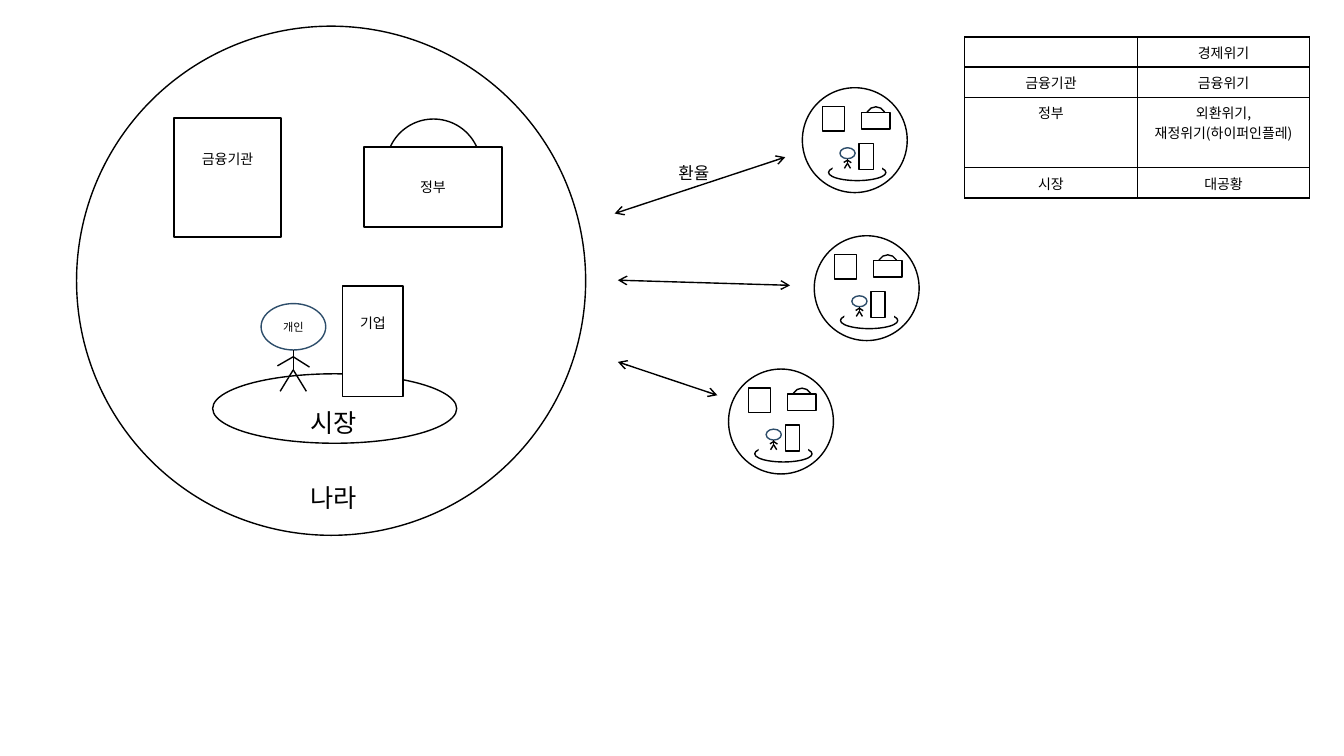
import pptx
import pptx.util
import pptx.dml.color
import pptx.enum.shapes
import pptx.enum.text
import pptx.oxml
import pptx.oxml.ns
from lxml import etree

Cm = pptx.util.Cm
Pt = pptx.util.Pt
qn = pptx.oxml.ns.qn
tint = pptx.dml.color.RGBColor.from_string
OVAL = pptx.enum.shapes.MSO_SHAPE.OVAL
RECT = pptx.enum.shapes.MSO_SHAPE.RECTANGLE
FONT = "Noto Sans CJK KR"
BLACK, WHITE, NAVY = "000000", "FFFFFF", "2D4D6A"

deck = pptx.Presentation()
deck.slide_width, deck.slide_height = Cm(33.87), Cm(19.05)
slide = deck.slides.add_slide(deck.slide_layouts[6])
shapes = slide.shapes


def write(frame, text, size):
    for i, line in enumerate(text.split("\n")):
        para = frame.add_paragraph() if i else frame.paragraphs[0]
        para.text = line
        para.alignment = pptx.enum.text.PP_ALIGN.CENTER
        para.font.size = Pt(size)
        para.font.color.rgb = tint(BLACK)
        para.font.name = FONT
        etree.SubElement(para.font._element, qn("a:ea"), typeface=FONT)
        if not line:
            etree.SubElement(para._p, qn("a:endParaRPr"), sz=str(size * 100))


def link(left, top, right, bottom):
    line = shapes.add_connector(
        pptx.enum.shapes.MSO_CONNECTOR.STRAIGHT, Cm(left), Cm(top), Cm(right), Cm(bottom))
    line.line.color.rgb = tint(BLACK)
    line.line.width = Pt(1)
    etree.SubElement(line._element.spPr, qn("a:effectLst"))
    return line


market = [
    (OVAL, (0, 0, 6.15, 1.75), None, BLACK, "", 0, 0),
    (RECT, (0.43, -0.51, 5.3, 1.19), WHITE, None, "", 0, 0),
    (OVAL, (1.22, -1.77, 1.63, 1.17), WHITE, NAVY, "개인", 8, 0),
    (None, (2.03, -0.61, 2.03, -0.1), None, BLACK, "", 0, 0),
    (None, (2.03, -0.1, 2.36, 0.44), None, BLACK, "", 0, 0),
    (None, (2.03, -0.1, 1.7, 0.44), None, BLACK, "", 0, 0),
    (None, (2.03, -0.43, 2.44, -0.17), None, BLACK, "", 0, 0),
    (None, (1.63, -0.2, 2.03, -0.43), None, BLACK, "", 0, 0),
    (RECT, (3.28, -2.21, 1.52, 2.79), WHITE, BLACK, "기업", 10, 0.91),
]
state = [
    (OVAL, (7.8, 2.34, 2.39, 2.39), None, BLACK, "", 0, 0),
    (RECT, (7.24, 3.05, 3.48, 2.01), WHITE, BLACK, "정부", 10, 0),
    (RECT, (2.46, 2.31, 2.69, 3), None, BLACK, "금융기관", 10, 0.91),
    (OVAL, (0, 0, 12.83, 12.83), None, BLACK, "", 0, 0),
]
lands = [(1.93, 0.66, True), (20.22, 2.21, False), (20.52, 5.94, False), (18.36, 9.3, False)]

for x, y, home in lands:
    if home:
        groups = [(market, x + 3.43, y + 8.76, 1), (state, x, y, 1)]
    else:
        groups = [(market, x + 0.66, y + 1.93, 0.235), (state, x, y, 0.206)]
    for parts, left, top, scale in groups:
        for kind, box, fill, edge, text, size, foot in parts:
            a, b, c, d = [n * scale for n in box]
            if kind is None:
                link(left + a, top + b, left + c, top + d)
                continue
            if home and edge is None:
                continue
            part = shapes.add_shape(kind, Cm(left + a), Cm(top + b), Cm(c), Cm(d))
            part.shadow.inherit = False
            if fill:
                part.fill.solid()
                part.fill.fore_color.rgb = tint(fill)
            else:
                part.fill.background()
            if edge:
                part.line.color.rgb = tint(edge)
                part.line.width = Pt(1)
            else:
                part.line.fill.background()
            if home and text:
                frame = part.text_frame
                frame.margin_left = frame.margin_right = frame.margin_top = 0
                frame.margin_bottom = Cm(foot)
                write(frame, text, size)

arrows = [(15.49, 5.38, 19.79, 3.96), (15.57, 7.06, 19.91, 7.19), (15.57, 9.12, 18.08, 9.96)]
for ends in arrows:
    pen = link(*ends).line._get_or_add_ln()
    for tip in ("a:headEnd", "a:tailEnd"):
        etree.SubElement(pen, qn(tip), type="arrow")

labels = [
    ("시장", 7.04, 10.24, 2.72, 0.79, 18),
    ("나라", 7.04, 12.14, 2.72, 0.79, 18),
    ("환율", 16.71, 4.14, 1.55, 0.43, 12),
]
for text, left, top, width, height, size in labels:
    frame = shapes.add_textbox(Cm(left), Cm(top), Cm(width), Cm(height)).text_frame
    frame.word_wrap = True
    frame.vertical_anchor = pptx.enum.text.MSO_ANCHOR.MIDDLE
    frame.margin_left = frame.margin_right = frame.margin_top = frame.margin_bottom = 0
    write(frame, text, size)

rows = [
    ("", "경제위기", 0.76),
    ("금융기관", "금융위기", 0.76),
    ("정부", "외환위기,\n재정위기(하이퍼인플레)", 1.78),
    ("시장", "대공황", 0.76),
]
table = shapes.add_table(4, 2, Cm(24.31), Cm(0.93), Cm(8.7), Cm(4.06)).table
table.first_row = table.horz_banding = False
for r, (*texts, height) in enumerate(rows):
    table.rows[r].height = Cm(height)
    for c, text in enumerate(texts):
        cell = table.cell(r, c)
        write(cell.text_frame, text, 10)
        props = cell._tc.get_or_add_tcPr()
        for side in ("a:lnL", "a:lnR", "a:lnT", "a:lnB"):
            rule = etree.SubElement(props, qn(side), w="12700")
            solid = etree.SubElement(rule, qn("a:solidFill"))
            etree.SubElement(solid, qn("a:srgbClr"), val=BLACK)
        cell.fill.background()

deck.save("out.pptx")
